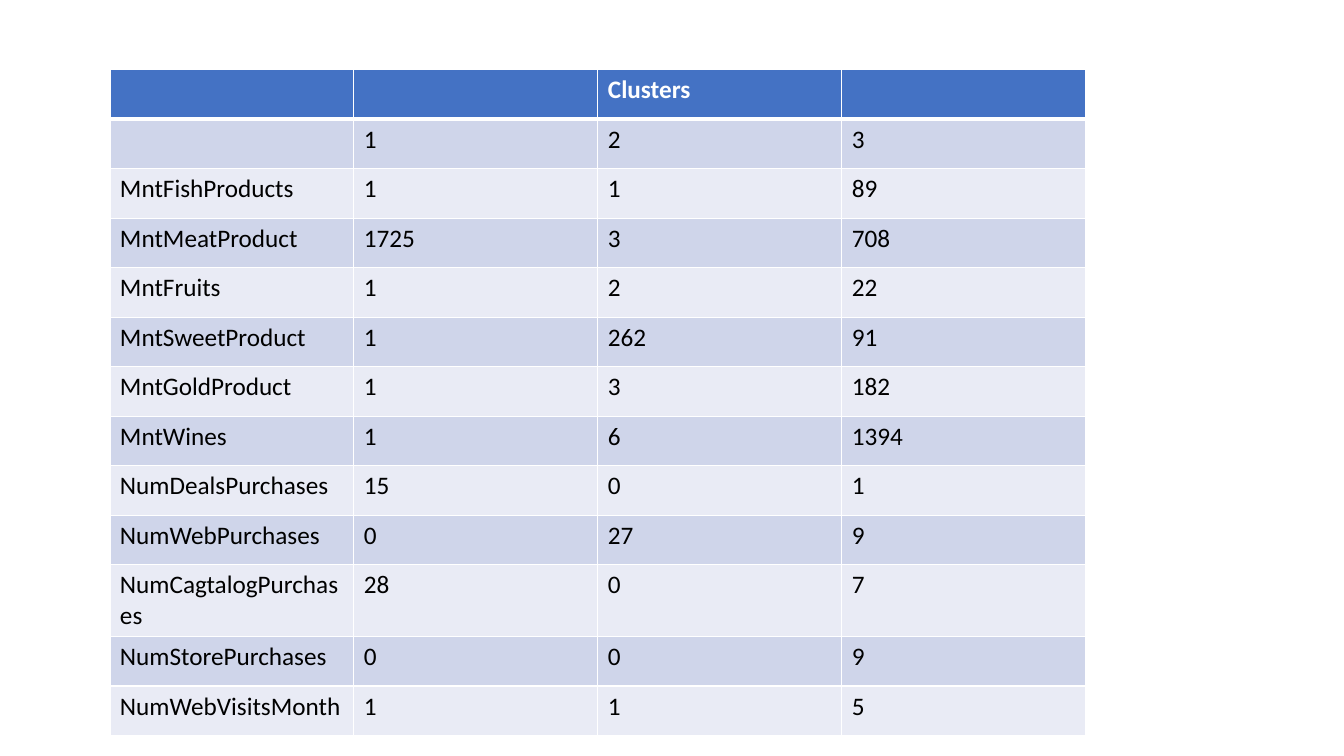
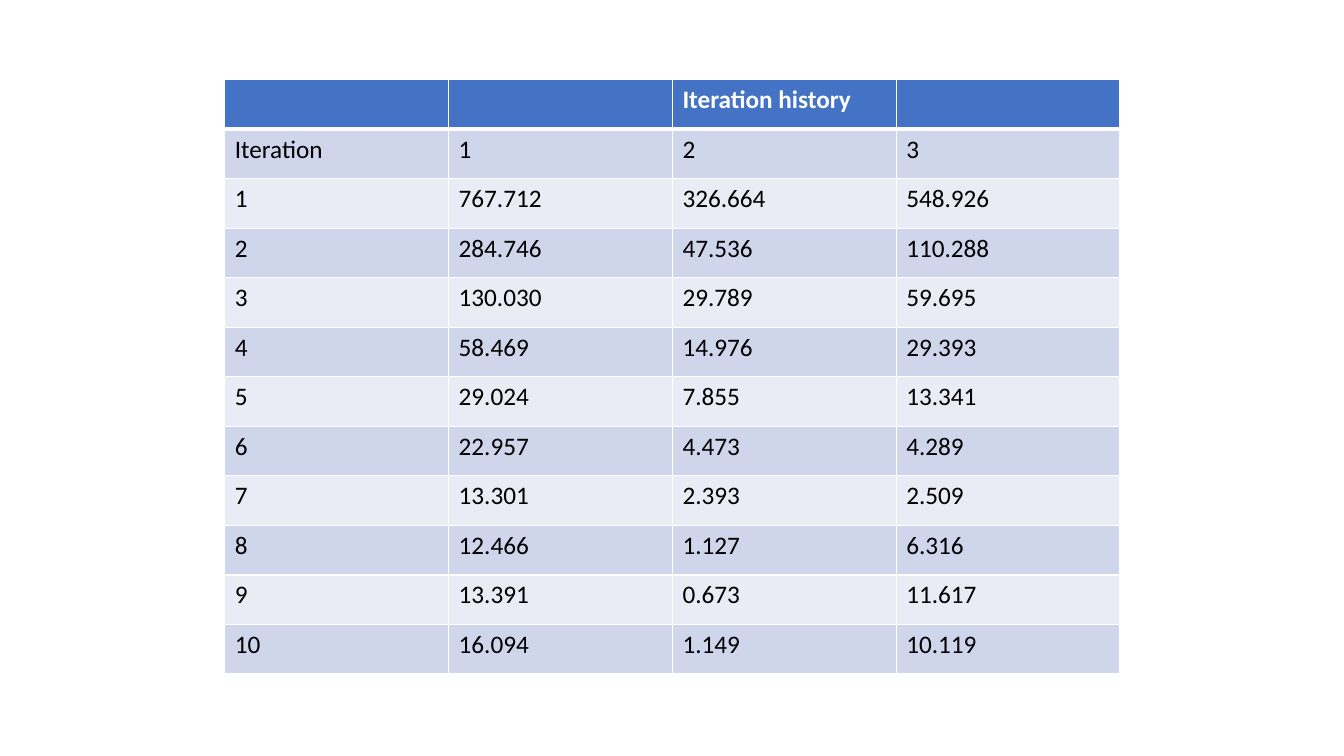
from lxml.etree import SubElement
from pptx import Presentation
from pptx.dml.color import RGBColor
from pptx.oxml.ns import qn
from pptx.util import Inches, Pt

CLUSTERS = [
    ["", "", "Clusters", ""],
    ["", "1", "2", "3"],
    ["MntFishProducts", "1", "1", "89"],
    ["MntMeatProduct", "1725", "3", "708"],
    ["MntFruits", "1", "2", "22"],
    ["MntSweetProduct", "1", "262", "91"],
    ["MntGoldProduct", "1", "3", "182"],
    ["MntWines", "1", "6", "1394"],
    ["NumDealsPurchases", "15", "0", "1"],
    ["NumWebPurchases", "0", "27", "9"],
    ["NumCagtalogPurchases", "28", "0", "7"],
    ["NumStorePurchases", "0", "0", "9"],
    ["NumWebVisitsMonth", "1", "1", "5"],
]

HISTORY = [
    ["", "", "Iteration history", ""],
    ["Iteration", "1", "2", "3"],
    ["1", "767.712", "326.664", "548.926"],
    ["2", "284.746", "47.536", "110.288"],
    ["3", "130.030", "29.789", "59.695"],
    ["4", "58.469", "14.976", "29.393"],
    ["5", "29.024", "7.855", "13.341"],
    ["6", "22.957", "4.473", "4.289"],
    ["7", "13.301", "2.393", "2.509"],
    ["8", "12.466", "1.127", "6.316"],
    ["9", "13.391", "0.673", "11.617"],
    ["10", "16.094", "1.149", "10.119"],
]


def color(code):
    return RGBColor.from_string(code)


class Deck:
    """Holds the table style and the current slide."""

    FONT, SIZE = "Calibri", 18
    HEAD, BANDS = "4472C4", ("E9EBF5", "CFD5EA")
    LIGHT, DARK = "FFFFFF", "000000"
    THIN, THICK = 1, 3

    def __init__(self):
        self.prs = Presentation()
        self.prs.slide_width = Inches(13.33)
        self.prs.slide_height = Inches(7.5)
        self.slide = None

    def add_slide(self):
        self.slide = self.prs.slides.add_slide(self.prs.slide_layouts[6])

    def table(self, rows, left, top, width, height):
        """Add a table with a header row, banded rows and equal columns."""
        frame = self.slide.shapes.add_table(
            len(rows), len(rows[0]),
            Inches(left), Inches(top), Inches(width), Inches(height))
        for r, row in enumerate(rows):
            for c, text in enumerate(row):
                self.cell(frame.table.cell(r, c), r, text)

    def cell(self, cell, row, text):
        head = row == 0
        self.border(cell, self.THICK if row == 1 else self.THIN,
                    self.THICK if head else self.THIN)
        cell.fill.solid()
        cell.fill.fore_color.rgb = color(self.HEAD if head else self.BANDS[row % 2])
        cell.text = text
        font = cell.text_frame.paragraphs[0].font
        font.name, font.size, font.bold = self.FONT, Pt(self.SIZE), head
        font.color.rgb = color(self.LIGHT if head else self.DARK)

    def border(self, cell, top, bottom):
        props = cell._tc.get_or_add_tcPr()
        sides = {"L": self.THIN, "R": self.THIN, "T": top, "B": bottom}
        for side, width in sides.items():
            line = SubElement(props, qn(f"a:ln{side}"), w=str(Pt(width)))
            fill = SubElement(line, qn("a:solidFill"))
            SubElement(fill, qn("a:srgbClr"), val=self.LIGHT)


def main():
    deck = Deck()
    deck.add_slide()
    deck.table(CLUSTERS, 1.09, 0.69, 9.68, 6.39)
    deck.add_slide()
    deck.table(HISTORY, 2.23, 0.79, 8.88, 5.9)
    deck.prs.save("out.pptx")


if __name__ == "__main__":
    main()
